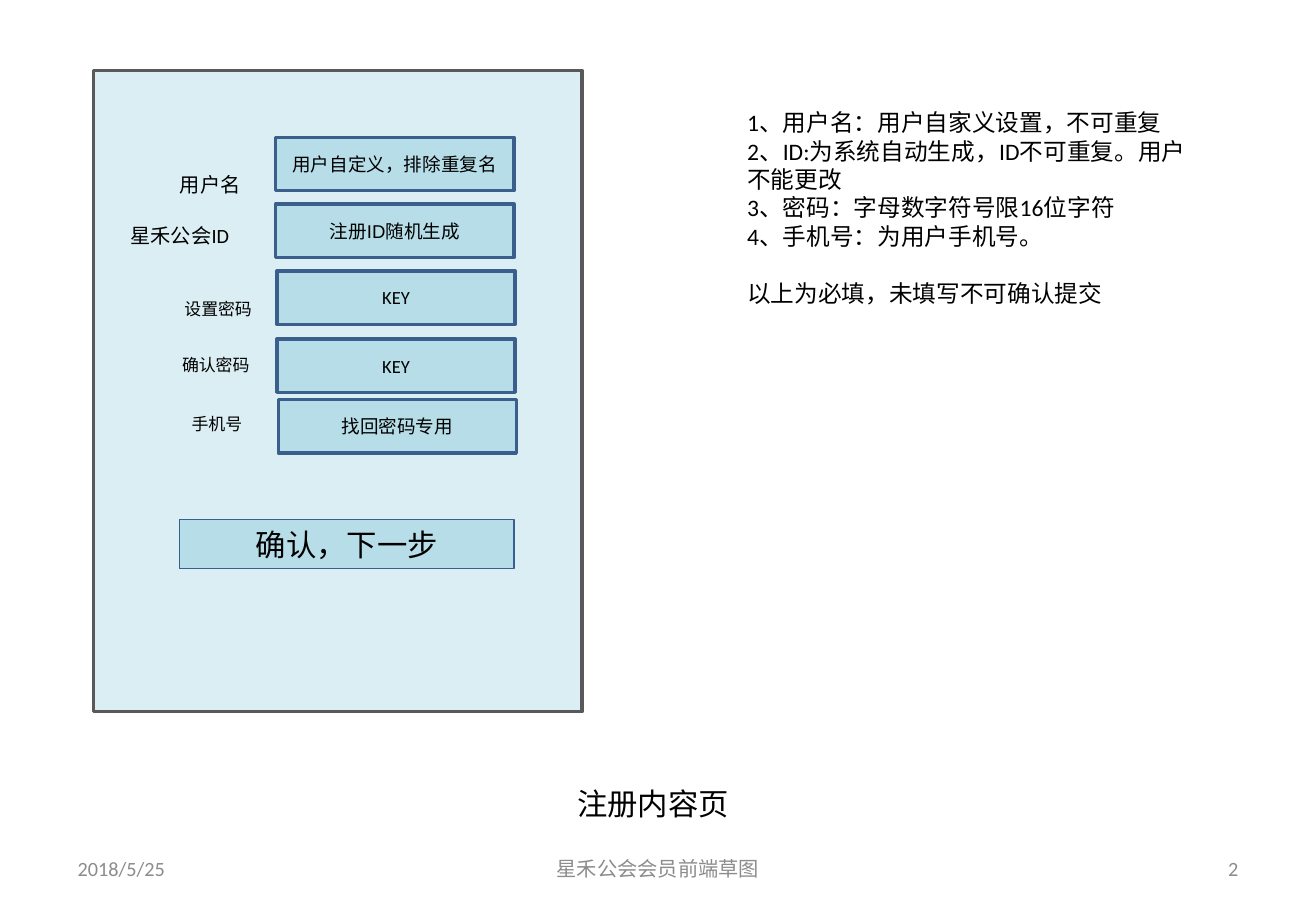
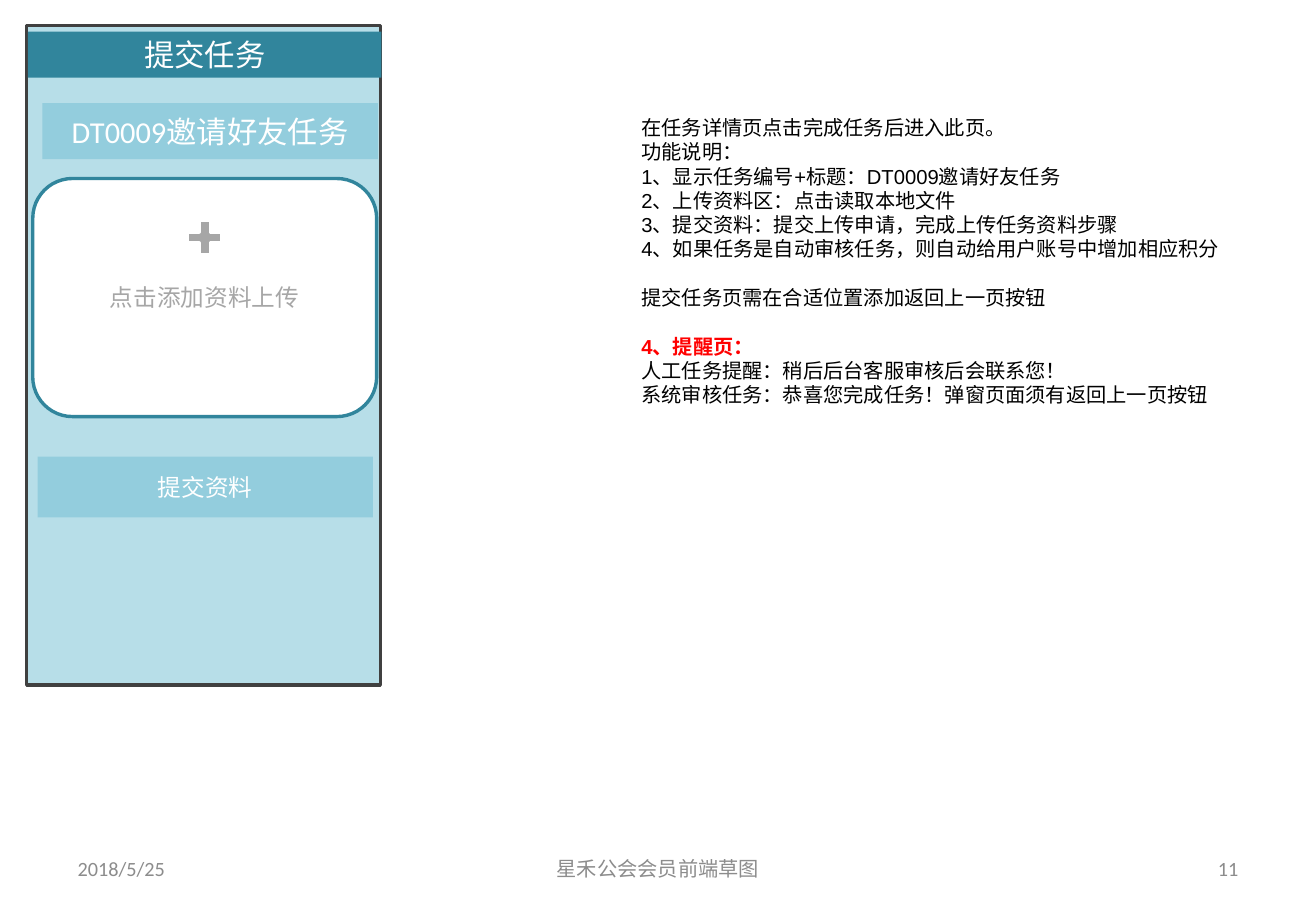
from pptx import Presentation
from pptx.dml.color import RGBColor
from pptx.enum import shapes, text
from pptx.util import Inches, Pt

COLORS = {
    "black": "000000", "white": "FFFFFF", "red": "FF0000",
    "pale": "DBEEF4", "light": "B7DEE8", "sky": "93CDDD", "teal": "31859C",
    "field_line": "3A5F8C", "button_line": "376092",
    "frame": "595959", "dark": "404040", "footer": "8C8C8C", "hint": "A6A6A6",
}
LEFT, CENTER, RIGHT = text.PP_ALIGN.LEFT, text.PP_ALIGN.CENTER, text.PP_ALIGN.RIGHT
TOP, MIDDLE = text.MSO_ANCHOR.TOP, text.MSO_ANCHOR.MIDDLE
RECT = shapes.MSO_SHAPE.RECTANGLE


def write(sp, lines, size, color="black", align=CENTER, anchor=MIDDLE, font="Calibri"):
    tf = sp.text_frame
    tf.word_wrap = True
    tf.auto_size = text.MSO_AUTO_SIZE.NONE
    tf.vertical_anchor = anchor
    tf.text = lines
    for p in tf.paragraphs:
        p.alignment = align
        for r in p.runs:
            r.font.size = Pt(size)
            r.font.name = font
            r.font.color.rgb = RGBColor.from_string(COLORS[color])
    return tf


def add_box(parent, at, fill, line=None, width=2, kind=RECT):
    sp = parent.add_shape(kind, *map(Inches, at))
    sp.shadow.inherit = False
    sp.fill.solid()
    sp.fill.fore_color.rgb = RGBColor.from_string(COLORS[fill])
    if line:
        sp.line.color.rgb = RGBColor.from_string(COLORS[line])
        sp.line.width = Pt(width)
    else:
        sp.line.fill.background()
    return sp


prs = Presentation()
prs.slide_width, prs.slide_height = Inches(10.83), Inches(7.5)
register = prs.slides.add_slide(prs.slide_layouts[5])
submit = prs.slides.add_slide(prs.slide_layouts[6])

# Footers
for s, number in ((register, "2"), (submit, "11")):
    for label, left, width, align in (("2018/5/25", 0.54, 2.53, LEFT),
                                      ("星禾公会会员前端草图", 3.7, 3.43, CENTER),
                                      (number, 7.76, 2.53, RIGHT)):
        sp = s.shapes.add_textbox(Inches(left), Inches(6.95), Inches(width), Inches(0.4))
        write(sp, label, 12, "footer", align)

# Registration page: title below the form
title = register.shapes.title
title.left, title.top, title.width, title.height = map(Inches, (4.58, 6.41, 1.59, 0.4))
write(title, "注册内容页", 18)

# Form frame, input fields and button
add_box(register.shapes, (0.77, 0.58, 4.02, 5.28), "pale", "frame")
for hint, left, top, font in (("用户自定义，排除重复名", 2.27, 1.13, "Arial"),
                              ("注册ID随机生成", 2.27, 1.68, "Arial"),
                              ("KEY", 2.28, 2.23, "Calibri"),
                              ("KEY", 2.28, 2.79, "Calibri"),
                              ("找回密码专用", 2.29, 3.29, "Calibri")):
    sp = add_box(register.shapes, (left, top, 1.96, 0.44), "light", "field_line")
    write(sp, hint, 11, font=font)
sp = add_box(register.shapes, (1.48, 4.28, 2.75, 0.4), "light", "button_line", 0.75)
write(sp, "确认，下一步", 18)

# Field labels
for label, left, top, width, size in (("用户名", 1.35, 1.37, 0.76, 12),
                                      ("星禾公会ID", 0.93, 1.79, 1.1, 12),
                                      ("设置密码", 1.36, 2.41, 0.87, 10),
                                      ("确认密码", 1.34, 2.87, 0.87, 10),
                                      ("手机号", 1.35, 3.36, 0.87, 10)):
    sp = register.shapes.add_textbox(Inches(left), Inches(top), Inches(width), Inches(0.3))
    write(sp, label, size, anchor=TOP)

# Registration rules
rules = """1、用户名：用户自家义设置，不可重复
2、ID:为系统自动生成，ID不可重复。用户不能更改
3、密码：字母数字符号限16位字符
4、手机号：为用户手机号。
以上为必填，未填写不可确认提交"""
sp = register.shapes.add_textbox(Inches(6.05), Inches(0.84), Inches(3.94), Inches(1.75))
tf = write(sp, rules, 14, align=LEFT, anchor=TOP)
tf.paragraphs[4].space_before = Pt(17)

# Task submission page: phone mock-up
phone = submit.shapes.add_group_shape().shapes
add_box(phone, (0.22, 0.21, 2.91, 5.43), "light", "dark")
for label, at, fill, size, font in (
        ("提交任务", (0.23, 0.26, 2.91, 0.38), "teal", 18, "Calibri"),
        ("DT0009邀请好友任务", (0.35, 0.85, 2.76, 0.46), "sky", 18, "Calibri"),
        ("提交资料", (0.31, 3.76, 2.76, 0.5), "sky", 14, "Arial")):
    write(add_box(phone, at, fill), label, size, "white", font=font)

# Upload area
upload = add_box(phone, (0.27, 1.47, 2.83, 1.96), "white", "teal",
                 kind=shapes.MSO_SHAPE.ROUNDED_RECTANGLE)
write(upload, "点击添加资料上传", 14, "hint")
add_box(submit.shapes, (1.49, 1.76, 0.39, 0.39), "hint", "white",
        kind=shapes.MSO_SHAPE.MATH_PLUS)

# Task notes
notes = """在任务详情页点击完成任务后进入此页。
功能说明：
1、显示任务编号+标题：DT0009邀请好友任务
2、上传资料区：点击读取本地文件
3、提交资料：提交上传申请，完成上传任务资料步骤
4、如果任务是自动审核任务，则自动给用户账号中增加相应积分
提交任务页需在合适位置添加返回上一页按钮
4、提醒页：
人工任务提醒：稍后后台客服审核后会联系您！
系统审核任务：恭喜您完成任务！弹窗页面须有返回上一页按钮"""
sp = submit.shapes.add_textbox(Inches(5.18), Inches(0.9), Inches(5.04), Inches(2.73))
tf = write(sp, notes, 12, align=LEFT, anchor=TOP, font="Arial")
for p in tf.paragraphs[6:8]:
    p.space_before = Pt(14.4)
reminder = tf.paragraphs[7].runs[0].font
reminder.bold = True
reminder.color.rgb = RGBColor.from_string(COLORS["red"])

prs.save("out.pptx")
